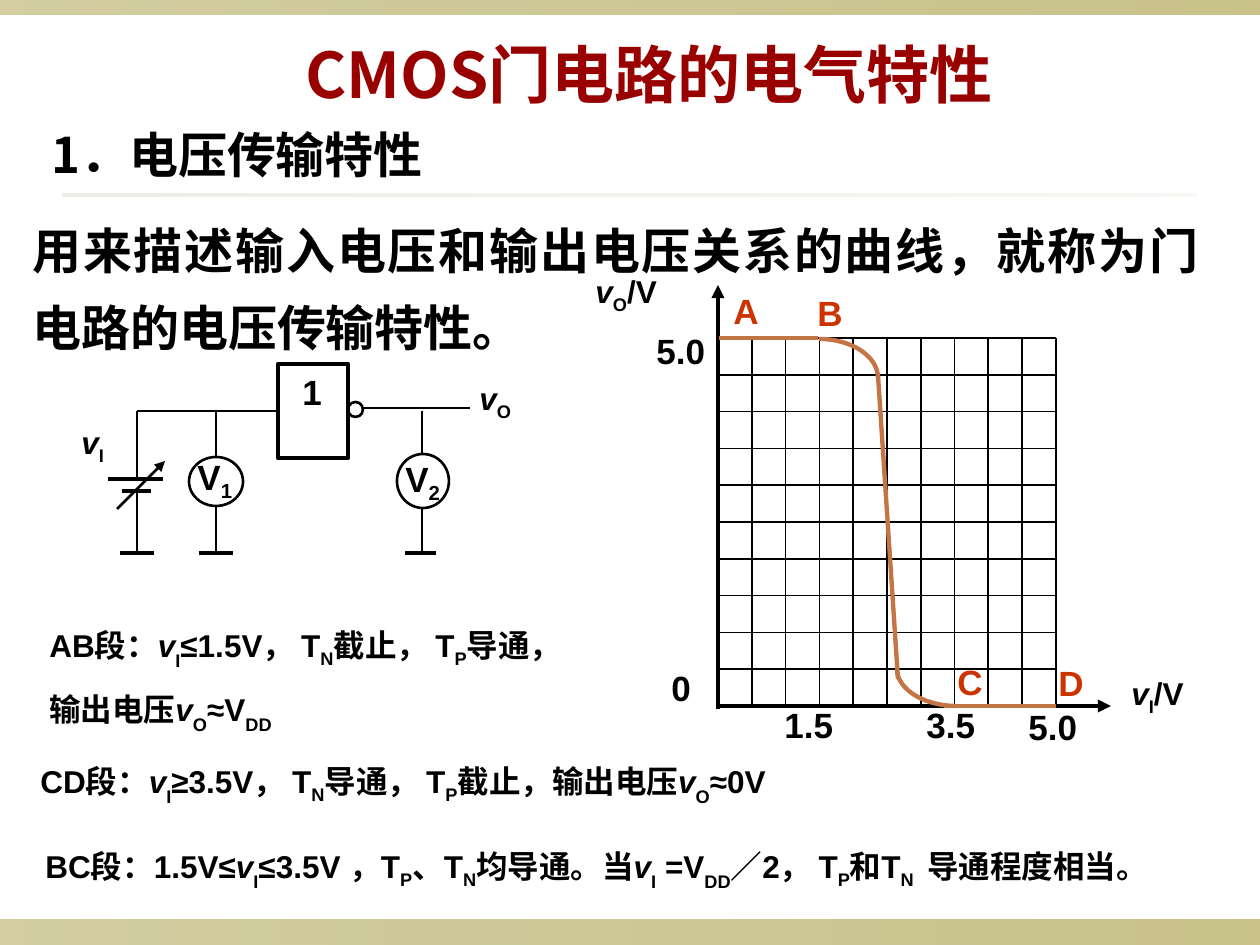
from dataclasses import dataclass

from pptx import Presentation
from pptx import util as u
from pptx.dml.color import RGBColor
from pptx.enum import shapes, text
from pptx.oxml.ns import qn
from lxml import etree

SCALE = u.Inches(1) / 126


def px(length):
    return u.Emu(round(length * SCALE))


@dataclass(frozen=True)
class Theme:
    ink: str = "000000"
    title: str = "990000"
    point: str = "CC3300"
    curve: str = "C47546"
    band: str = "918415"
    rule: str = "DCD9CC"
    latin: str = "Arial"
    chinese: str = "Noto Sans CJK SC"
    title_size: float = 36
    heading_size: float = 28
    label_size: float = 20
    body_size: float = 18
    thin: float = 1
    wire: float = 1.5
    thick: float = 2.5


THEME = Theme()
# Marks that may open a piece of text: subscript depths
SUBSCRIPTS = {"_": "-25000", "#": "-30000"}


class SlideBuilder:
    def __init__(self, slide, theme):
        self.slide = slide
        self.theme = theme

    def band(self, left, top, width, height, color, alphas):
        """Bar whose colour changes in transparency from left to right."""
        shape = self.slide.shapes.add_shape(
            shapes.MSO_SHAPE.RECTANGLE, *map(px, (left, top, width, height)))
        shape.shadow.inherit = False
        shape.line.fill.background()
        shape.fill.gradient()
        shape.fill.gradient_angle = 0
        for stop, alpha in zip(shape.fill.gradient_stops, alphas):
            stop.color.rgb = RGBColor.from_string(color)
        gradient = shape._element.spPr.find(qn("a:gradFill"))
        for color_element, alpha in zip(gradient.iter(qn("a:srgbClr")), alphas):
            etree.SubElement(color_element, qn("a:alpha")).set("val", str(alpha * 1000))

    def outline(self, kind, left, top, width, height, weight):
        shape = self.slide.shapes.add_shape(kind, *map(px, (left, top, width, height)))
        shape.shadow.inherit = False
        shape.fill.background()
        self.stroke(shape, self.theme.ink, weight)
        return shape

    def stroke(self, shape, color, weight):
        shape.line.color.rgb = RGBColor.from_string(color)
        shape.line.width = u.Pt(weight)

    def line(self, x1, y1, x2, y2, weight, color=None, arrow=False):
        line = self.slide.shapes.add_connector(
            shapes.MSO_CONNECTOR.STRAIGHT, *map(px, (x1, y1, x2, y2)))
        self.stroke(line, color or self.theme.ink, weight)
        if arrow:
            etree.SubElement(line.line._get_or_add_ln(), qn("a:tailEnd")).set("type", "triangle")
        etree.SubElement(line._element.spPr, qn("a:effectLst"))
        return line

    def curve(self, p0, p1, p2, p3, steps=24):
        """Open cubic curve through p0 and p3."""
        points = []
        for step in range(steps + 1):
            t = step / steps
            weights = ((1 - t) ** 3, 3 * t * (1 - t) ** 2, 3 * t * t * (1 - t), t ** 3)
            points.append(tuple(
                round(sum(w * p[axis] for w, p in zip(weights, (p0, p1, p2, p3))) * SCALE)
                for axis in (0, 1)))
        builder = self.slide.shapes.build_freeform(*points[0])
        builder.add_line_segments(points[1:], close=False)
        shape = builder.convert_to_shape()
        shape.shadow.inherit = False
        shape.fill.background()
        self.stroke(shape, self.theme.curve, self.theme.thick)

    def text(self, left, top, width, height, *lines, size, color=None, font=None,
             spacing=None, before=0, align=text.PP_ALIGN.JUSTIFY):
        """Pieces split by |: ~ italic, _ or # subscript, + wide light gap."""
        box = self.slide.shapes.add_textbox(*map(px, (left, top, width, height)))
        frame = box.text_frame
        frame.word_wrap = True
        for index, content in enumerate(lines):
            paragraph = frame.add_paragraph() if index else frame.paragraphs[0]
            paragraph.alignment = align
            if spacing:
                paragraph.line_spacing = spacing
            if index:
                paragraph.space_before = u.Pt(before)
            paragraph.font.name = font or self.theme.latin
            paragraph.font.size = u.Pt(size)
            paragraph.font.bold = True
            paragraph.font.color.rgb = RGBColor.from_string(color or self.theme.ink)
            latin = paragraph.font._element.find(qn("a:latin"))
            east_asian = etree.Element(qn("a:ea"))
            east_asian.set("typeface", self.theme.chinese)
            latin.addnext(east_asian)
            for piece in content.split("|"):
                self.run(paragraph, piece)

    def run(self, paragraph, piece):
        mark = piece[0]
        run = paragraph.add_run()
        run.text = piece[1:] if mark in "~_#+" else piece
        if mark == "~":
            run.font.italic = True
        elif mark == "+":
            run.font.size = u.Pt(self.theme.heading_size)
            run.font.bold = False
        elif mark in SUBSCRIPTS:
            run.font._element.set("baseline", SUBSCRIPTS[mark])


def draw_circuit(builder):
    theme = THEME
    circle = shapes.MSO_SHAPE.FLOWCHART_CONNECTOR
    ground = 553

    # Inverter with its input and output wires
    gate = builder.outline(shapes.MSO_SHAPE.RECTANGLE, 278, 364, 70, 94, theme.thick)
    builder.outline(circle, 348, 402, 15, 15, theme.wire)
    builder.line(278, 411, 137, 411, theme.wire).begin_connect(gate, 1)
    builder.line(364, 408, 470, 408, theme.wire)

    # Voltmeters
    for x, left, top, width, height in ((216, 189, 457, 54, 49), (422, 397, 454, 52, 54)):
        builder.outline(circle, left, top, width, height, theme.wire)
        builder.line(x, 411, x, top, theme.wire)
        builder.line(x, top + height, x, ground, theme.wire)

    # Variable source
    builder.line(137, 411, 137, 479, theme.wire)
    builder.line(108, 479, 163, 479, theme.thick)
    builder.line(122, 491, 151, 491, theme.thick)
    builder.line(137, 491, 137, ground, theme.wire)
    builder.line(117, 509, 165, 461, theme.wire, arrow=True)

    # Ground bars
    for left, right in ((120, 154), (199, 233), (405, 436)):
        builder.line(left, ground, right, ground, theme.thick)

    # Labels
    for left, top, width, label, size in (
            (290, 364, 50, "1", theme.label_size),
            (185, 449, 71, "V|_1", theme.label_size),
            (393, 451, 73, "V|_2", theme.label_size),
            (69, 417, 62, "~v|_I", theme.body_size),
            (467, 373, 72, "~v|_O", theme.body_size)):
        builder.text(left, top, width, 62, label, size=size)


def draw_transfer_curve(builder):
    theme = THEME
    left, top, right, bottom = 718, 338, 1056, 706

    # Axes and ten by ten grid
    builder.line(left, 709, left, 285, theme.thick, arrow=True)
    builder.line(left, bottom, 1111, bottom, theme.thick, arrow=True)
    for step in range(10):
        y = top + step * (bottom - top) / 10
        x = right - step * (right - left) / 10
        builder.line(left, y, right, y, theme.thin)
        builder.line(x, bottom, x, top, theme.thin)

    # Curve from A to D
    for ends in ((719, 338, 818, 338), (878, 375, 898, 679), (944, 706, 1056, 706)):
        builder.line(*ends, theme.thick, theme.curve)
    builder.curve((819, 339), (850, 339), (877, 355), (878, 377))
    builder.curve((897, 669), (897, 689), (924, 706), (956, 706))

    # Scale values
    for x, y, value in ((644, 323, "5.0"), (659, 660, "0"), (772, 697, "1.5"),
                        (914, 697, "3.5"), (1016, 699, "5.0")):
        builder.text(x, y, 93, 67, value, size=theme.label_size)

    # Point letters
    for x, y, letter in ((721, 283, "A"), (805, 285, "B"), (945, 654, "C"), (1046, 655, "D")):
        builder.text(x, y, 66, 54, letter, size=theme.label_size, color=theme.point)

    # Axis names
    builder.text(583, 266, 135, 72, "~v|_O|/V", size=theme.body_size)
    builder.text(1119, 668, 112, 72, "~v|_I|/V", size=theme.body_size)


def main():
    presentation = Presentation()
    presentation.slide_width = px(1260)
    presentation.slide_height = px(945)
    slide = presentation.slides.add_slide(presentation.slide_layouts[6])
    theme = THEME
    builder = SlideBuilder(slide, theme)

    # Background bands and rule
    builder.band(0, 920, 1260, 25, theme.band, (40, 50))
    builder.band(0, 0, 1260, 15, theme.band, (40, 50))
    builder.band(63, 194, 1134, 3, theme.rule, (50, 20))

    # Title and introduction
    builder.text(242, 29, 814, 88, "CMOS门电路的电气特性", size=theme.title_size,
                 color=theme.title, font=theme.chinese, align=text.PP_ALIGN.CENTER)
    builder.text(39, 118, 475, 72, "1．电压传输特性", size=theme.heading_size,
                 font=theme.chinese)
    builder.text(20, 197, 1191, 166, "用来描述输入电压和输出电压关系的曲线，就称为门电路的电压传输特性。",
                 size=theme.heading_size, spacing=1.3)

    draw_circuit(builder)
    draw_transfer_curve(builder)

    # Explanation of each section
    builder.text(37, 620, 612, 122,
                 "AB段：|~v|#I|≤1.5V， T|_N|截止， T|_P|导通，",
                 "输出电压|~v|#O|≈V|#DD", size=theme.body_size, before=11.2)
    builder.text(28, 756, 859, 58,
                 "CD段：|~v|#I|≥3.5V， T|_N|导通， T|_P|截止，输出电压|~v|#O|≈0V",
                 size=theme.body_size)
    builder.text(33, 811, 1159, 132,
                 "BC段：1.5V≤|~v|#I|≤3.5V ，T|_P|、T|_N|均导通。当|~v|#I| =V|#DD|／2， "
                 "T|_P|和T|_N|+ |导通程度相当。", size=theme.body_size, spacing=1.2)

    presentation.save("out.pptx")


if __name__ == "__main__":
    main()
